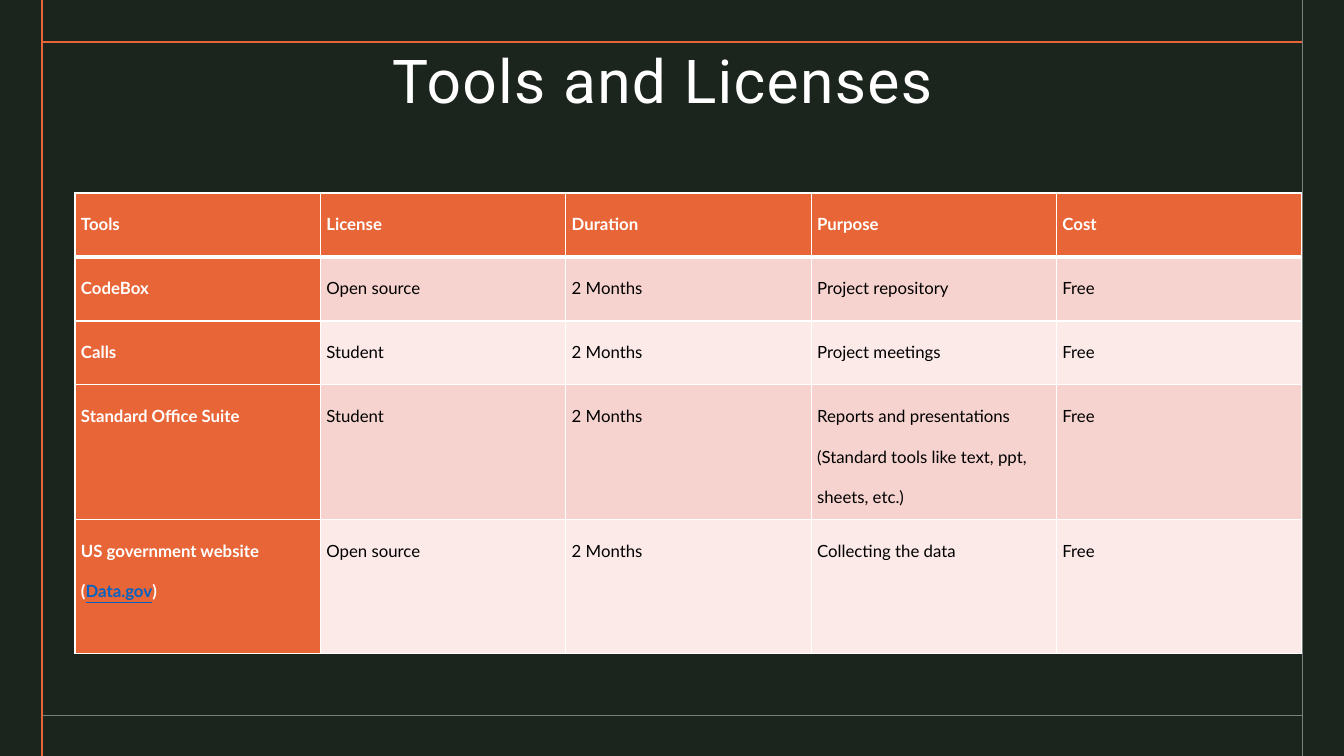
"""Build the Tools and Licenses slide."""
from lxml import etree
from pptx import Presentation
from pptx.dml.color import RGBColor
from pptx.enum.shapes import MSO_CONNECTOR
from pptx.enum.text import MSO_ANCHOR, MSO_AUTO_SIZE, PP_ALIGN
from pptx.oxml.ns import qn
from pptx.util import Emu, Pt

STRAIGHT = MSO_CONNECTOR.STRAIGHT
BOTTOM = MSO_ANCHOR.BOTTOM
NO_AUTOFIT = MSO_AUTO_SIZE.NONE
CENTER = PP_ALIGN.CENTER

BACKGROUND = RGBColor(0x1C, 0x24, 0x1E)
ORANGE = RGBColor(0xE8, 0x65, 0x38)
GRAY = RGBColor(0x78, 0x80, 0x79)
PINK = RGBColor(0xF6, 0xD3, 0xCE)
PALE_PINK = RGBColor(0xFB, 0xEA, 0xE8)
LINK_BLUE = RGBColor(0x05, 0x63, 0xC1)
WHITE = RGBColor(0xFF, 0xFF, 0xFF)
BLACK = RGBColor(0x00, 0x00, 0x00)

WIDTH, HEIGHT = 1344, 756
MARGIN = 42
RIGHT, LOWER = 1302, 715
LINK = "Data.gov"
ROW_HEIGHTS = [64, 64, 64, 135, 134]
ROWS = [
    ["Tools", "License", "Duration", "Purpose", "Cost"],
    ["CodeBox", "Open source", "2 Months", "Project repository", "Free"],
    ["Calls", "Student", "2 Months", "Project meetings", "Free"],
    ["Standard Office Suite", "Student", "2 Months",
     "Reports and presentations (Standard tools like text, ppt, sheets, etc.)", "Free"],
    ["US government website (Data.gov)", "Open source", "2 Months",
     "Collecting the data", "Free"],
]


def px(count):
    return Emu(round(count * 914400 / 100.8))


class SlideBuilder:
    def __init__(self, slide):
        self.slide = slide
        self.title_font = "Roboto"
        self.table_font = "Lato"
        fill = slide.background.fill
        fill.solid()
        fill.fore_color.rgb = BACKGROUND

    def line(self, left, top, right, bottom, color, points):
        connector = self.slide.shapes.add_connector(
            STRAIGHT, px(left), px(top), px(right), px(bottom))
        connector.line.color.rgb = color
        connector.line.width = Pt(points)
        etree.SubElement(connector._element.spPr, qn("a:effectLst"))

    def title(self, text, left, top, width, height):
        shape = self.slide.shapes.title
        shape.left, shape.top = px(left), px(top)
        shape.width, shape.height = px(width), px(height)
        frame = shape.text_frame
        frame.text = text
        frame.auto_size = NO_AUTOFIT
        frame.vertical_anchor = BOTTOM
        frame.margin_top = frame.margin_bottom = 0
        paragraph = frame.paragraphs[0]
        paragraph.alignment = CENTER
        paragraph.line_spacing = 0.9
        self.style(paragraph.font, self.title_font, 43.2, WHITE, False)
        paragraph.runs[0]._r.get_or_add_rPr().set("spc", "100")

    def style(self, font, name, size, color, bold):
        font.name = name
        font.size = Pt(size)
        font.color.rgb = color
        font.bold = bold

    def table(self, rows, left, top, width, heights):
        table = self.slide.shapes.add_table(
            len(rows), len(rows[0]), px(left), px(top), px(width), px(sum(heights))).table
        for column in table.columns:
            column.width = px(width / len(rows[0]))
        for row, height in zip(table.rows, heights):
            row.height = px(height)
        for row_index, texts in enumerate(rows):
            for column_index, text in enumerate(texts):
                self.cell(table.cell(row_index, column_index), text, row_index, column_index)

    def cell(self, cell, text, row_index, column_index):
        heading = row_index == 0 or column_index == 0
        cell.margin_left = cell.margin_right = px(6)
        cell.margin_top = cell.margin_bottom = px(1)
        self.border(cell, "L", 1)
        self.border(cell, "R", 1)
        self.border(cell, "T", 3 if row_index == 1 else 1)
        self.border(cell, "B", 3 if row_index == 0 else 1)
        cell.fill.solid()
        cell.fill.fore_color.rgb = ORANGE if heading else PINK if row_index % 2 else PALE_PINK
        paragraph = cell.text_frame.paragraphs[0]
        paragraph.line_spacing = 2.0
        self.style(paragraph.font, self.table_font, 12, WHITE if heading else BLACK, heading)
        before, link, after = text.partition(LINK)
        for part in filter(None, (before, link, after)):
            run = paragraph.add_run()
            run.text = part
            if part == LINK:
                run.font.color.rgb = LINK_BLUE
                run.font.underline = True

    def border(self, cell, side, points):
        properties = cell._tc.get_or_add_tcPr()
        line = etree.SubElement(properties, qn(f"a:ln{side}"), w=str(Pt(points)))
        fill = etree.SubElement(line, qn("a:solidFill"))
        etree.SubElement(fill, qn("a:srgbClr"), val=str(WHITE))


def main():
    presentation = Presentation()
    presentation.slide_width, presentation.slide_height = px(WIDTH), px(HEIGHT)
    builder = SlideBuilder(presentation.slides.add_slide(presentation.slide_layouts[5]))
    builder.line(MARGIN, LOWER, RIGHT, LOWER, GRAY, 0.5)
    builder.line(RIGHT, 0, RIGHT, HEIGHT, GRAY, 0.5)
    builder.line(MARGIN, MARGIN, RIGHT, MARGIN, ORANGE, 0.75)
    builder.line(MARGIN, 0, MARGIN, HEIGHT, ORANGE, 0.75)
    builder.title("Tools and Licenses", 33, 43, 1259, 74)
    builder.table(ROWS, 75, 193, 1227, ROW_HEIGHTS)
    presentation.save("out.pptx")


if __name__ == "__main__":
    main()
